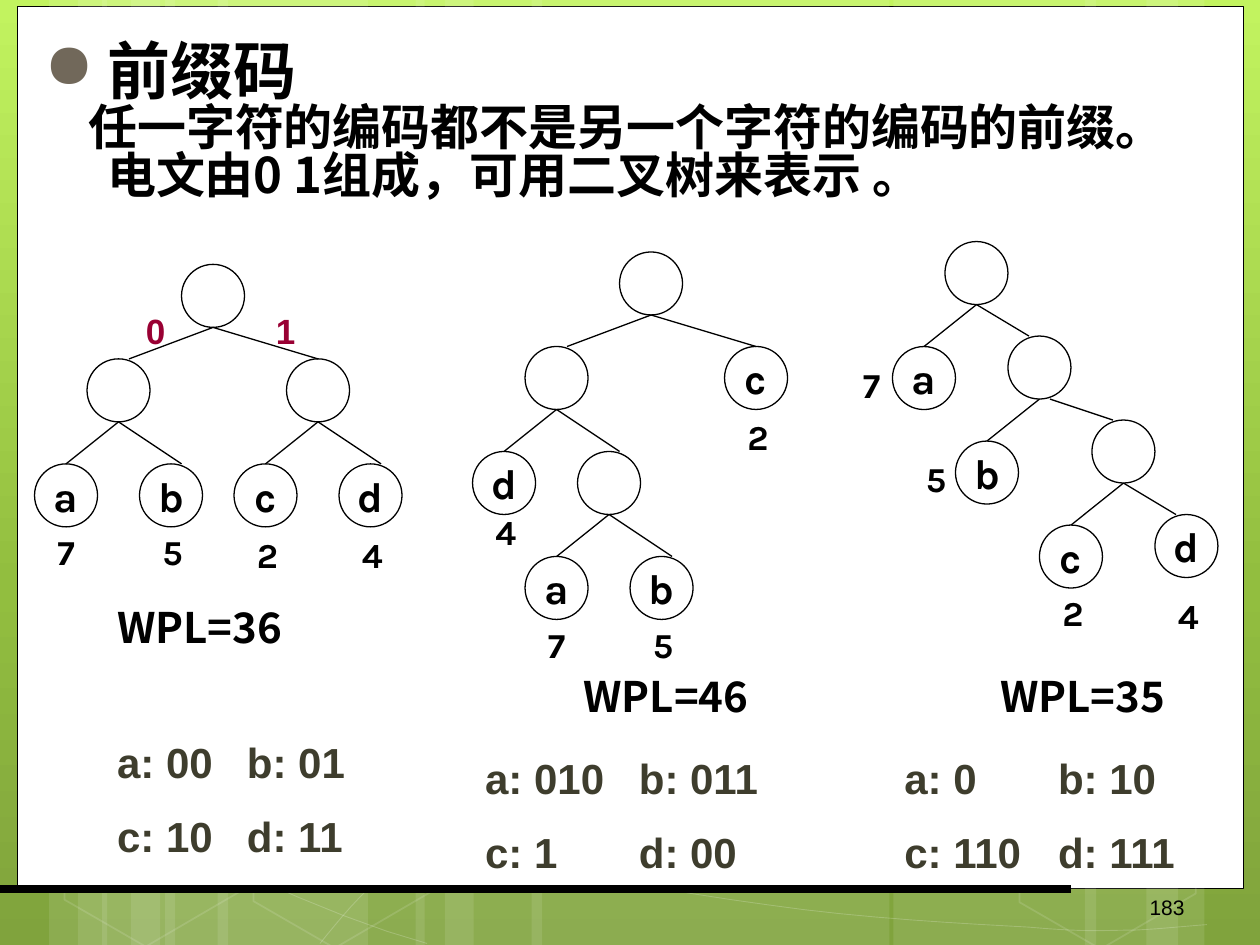
from copy import deepcopy

from lxml import etree
from pptx import Presentation
from pptx.dml.color import RGBColor
from pptx.enum.shapes import MSO_CONNECTOR, MSO_SHAPE
from pptx.enum.text import MSO_ANCHOR, PP_ALIGN
from pptx.oxml.ns import qn
from pptx.util import Cm, Pt

BLACK = RGBColor(0x00, 0x00, 0x00)
WHITE = RGBColor(0xFF, 0xFF, 0xFF)
CRIMSON = RGBColor(0x99, 0x00, 0x33)
OLIVE = RGBColor(0x3E, 0x3D, 0x2D)
SKY_STOPS = [(0, RGBColor(0xC2, 0xF3, 0x5F)), (0.62, RGBColor(0x92, 0xBE, 0x3F)),
             (1, RGBColor(0x80, 0xA3, 0x3D))]
BULLET_COLOR = "71685A"
SANS, CJK, LETTER = "Arial", "Noto Sans CJK SC", "Karla"
RECTANGLE, HEXAGON, ELLIPSE = MSO_SHAPE.RECTANGLE, MSO_SHAPE.HEXAGON, MSO_SHAPE.OVAL
STRAIGHT = MSO_CONNECTOR.STRAIGHT
CENTER, RIGHT = PP_ALIGN.CENTER, PP_ALIGN.RIGHT
MIDDLE, BOTTOM = MSO_ANCHOR.MIDDLE, MSO_ANCHOR.BOTTOM

WIDTH, HEIGHT = 25.4, 19.05
GRID = 2.54 / 12  # tree step in cm
NODE = 6          # node diameter in steps

# Background bands (left, width), hexagons (left, top) and Bezier curves, in cm
BANDS = [(3.33, 4.09), (0.99, 1.17), (1.57, 1.96), (4.39, 4.17), (2.06, 1.17), (2.64, 1.96),
         (18.01, 4.09), (23.11, 1.17), (21.87, 1.88), (10.72, 7.21), (8.38, 1.17), (8.97, 1.96)]
HEXAGONS = [(1.04, 15.01), (4.85, 15.04), (20.29, 15.06)]
CURVES = [
    [(0.91, 15.67), (3.73, 17.07), (6.55, 18.47), (8.61, 19.02)],
    [(0.94, 14.68), (1.68, 14.96), (2.41, 15.24), (3.78, 15.65), (5.13, 16.03), (7.16, 16.66),
     (9.12, 17.09), (11.07, 17.53), (13.54, 17.98), (15.47, 18.24), (17.4, 18.52),
     (19.48, 18.62), (20.73, 18.69), (21.95, 18.8), (22.28, 18.75), (22.89, 18.75),
     (23.47, 18.72), (23.9, 18.67), (24.33, 18.64)],
    [(6.45, 19.02), (6.86, 18.52), (7.26, 18.01), (7.85, 17.55), (8.41, 17.07), (9.19, 16.59),
     (9.86, 16.23), (10.49, 15.88), (10.9, 15.72), (11.76, 15.47), (12.62, 15.21),
     (14.2, 14.86), (15.01, 14.68), (16.5, 14.4), (20, 14.25), (24.31, 14.38)],
]

# Node: x, y, parent index, (edge start, edge end), label, weight, weight offset; in steps
TREES = [
    ((3.66, 5.33), [
        (0, 0, None), (-9, 9, 0, (3, 4)), (10, 9, 0, (3, 3)),
        (-14, 19, 1, (3, 3), "a", "7", (1, 5.75)), (-4, 19, 1, (3, 4), "b", "5", (1, 5.75)),
        (5, 19, 2, (3, 3), "c", "2", (1, 6)), (15, 19, 2, (3, 4), "d", "4", (1, 6))]),
    ((12.49, 5.08), [
        (0, 0, None), (-9, 9, 0, (3, 4)), (10, 9, 0, (3, 3), "c", "2", (1, 6)),
        (-14, 19, 1, (3, 3), "d", "4", (1, 5)), (-4, 19, 1, (3, 4)),
        (-9, 29, 4, (3, 3), "a", "7", (1, 5.75)), (1, 29, 4, (3, 4), "b", "5", (1, 5.75))]),
    ((19.05, 4.87), [
        (0, 0, None), (-5, 10, 0, (3, 3), "a", "7", (-4, 1)), (6, 9, 0, (3, 2)),
        (1, 19, 2, (3, 3), "b", "5", (-4, 1)), (14, 17, 2, (4, 2)),
        (9, 27, 4, (3, 3), "c", "2", (1, 5.75)), (20, 26, 4, (3, 2), "d", "4", (1, 7))]),
]

# Left, top, width and tab of the code table, its rows, then the WPL label and its place
RESULTS = [
    ((2.11, 14.73, 5.79, 2.62), ["a: 00\tb: 01", "c: 10\td: 11"], "WPL=36", (2.11, 12.12)),
    ((9.53, 15.04, 7.01, 3.1), ["a: 010\tb: 011", "c: 1\td: 00"], "WPL=46", (11.51, 13.51)),
    ((17.98, 15.04, 6.71, 3.1), ["a: 0\tb: 10", "c: 110\td: 111"], "WPL=35", (19.91, 13.51)),
]


def set_alpha(shape, percent):
    for color in shape._element.spPr.iter(qn("a:srgbClr")):
        etree.SubElement(color, qn("a:alpha"), val=str(percent * 1000))


def style_paragraph(paragraph, size, font, color=BLACK, bold=True):
    for run in paragraph.runs:
        run.font.size, run.font.bold, run.font.name = Pt(size), bold, font
        run.font.color.rgb = color
        etree.SubElement(run._r.get_or_add_rPr(), qn("a:ea"), typeface=font)


def add_text(slide, box, lines, size, font, color=BLACK, bold=True):
    frame = slide.shapes.add_textbox(*map(Cm, box)).text_frame
    frame.word_wrap = True
    frame.text = "\n".join(lines)
    for paragraph in frame.paragraphs:
        style_paragraph(paragraph, size, font, color, bold)
    return frame


def add_preset(slide, kind, box, fill=None, line=None, width=0.75):
    shape = slide.shapes.add_shape(kind, *map(Cm, box))
    shape.shadow.inherit = False
    if fill is None:
        shape.fill.background()
    else:
        shape.fill.solid()
        shape.fill.fore_color.rgb = fill
    if line is None:
        shape.line.fill.background()
    else:
        shape.line.color.rgb, shape.line.width = line, Pt(width)
    return shape


def add_line(slide, start, end, width=0.75):
    line = slide.shapes.add_connector(STRAIGHT, *map(Cm, (*start, *end)))
    line.line.color.rgb, line.line.width = BLACK, Pt(width)
    etree.SubElement(line._element.spPr, qn("a:effectLst"))


def flatten(curve, steps=8):
    points = [curve[0]]
    for i in range(0, len(curve) - 1, 3):
        for t in (step / steps for step in range(1, steps + 1)):
            weights = ((1 - t) ** 3, 3 * t * (1 - t) ** 2, 3 * t * t * (1 - t), t ** 3)
            points.append(tuple(sum(w * point[axis] for w, point in zip(weights, curve[i:i + 4]))
                                for axis in (0, 1)))
    return [(Cm(x), Cm(y)) for x, y in points]


def add_backdrop(slide):
    # Three-stop gradient, top to bottom
    fill = slide.background.fill
    fill.gradient()
    fill.gradient_angle = 270
    first = next(slide._element.iter(qn("a:gs")))
    first.addnext(deepcopy(first))
    for stop, (position, color) in zip(fill.gradient_stops, SKY_STOPS):
        stop.position, stop.color.rgb = position, color
    # White page, then translucent decoration
    add_preset(slide, RECTANGLE, (0.36, 0.14, 24.71, 17.78), WHITE, BLACK, 0.5)
    for left, width in BANDS:
        set_alpha(add_preset(slide, RECTANGLE, (left, 0, width, HEIGHT), WHITE), 10)
    for curve in CURVES:
        points = flatten(curve)
        builder = slide.shapes.build_freeform(*points[0])
        builder.add_line_segments(points[1:], close=False)
        shape = builder.convert_to_shape()
        shape.shadow.inherit = False
        shape.fill.background()
        shape.line.color.rgb, shape.line.width = WHITE, Pt(0.5)
        set_alpha(shape, 20)
    for left, top in HEXAGONS:
        shape = add_preset(slide, HEXAGON, (left, top, 4.09, 3.86), None, WHITE, 1)
        shape.adjustments[0], shape.rotation = 0.285, 30
        set_alpha(shape, 12)
    add_line(slide, (0, 17.93), (21.59, 17.93), 4.5)


def add_heading(slide, box):
    frame = add_text(slide, box, [
        "前缀码", "任一字符的编码都不是另一个字符的编码的前缀。电文由0 1组成，可用二叉树来表示 。"], 28, CJK)
    frame.margin_top = Cm(0.27)
    for paragraph, indent in zip(frame.paragraphs, (-1.27, -0.38)):
        paragraph.line_spacing = 0.82
        properties = paragraph._p.get_or_add_pPr()
        properties.set("marL", str(Cm(1.27)))
        properties.set("indent", str(Cm(indent)))
    title = frame.paragraphs[0]
    title.runs[0].font.size = Pt(36)
    properties = title._p.get_or_add_pPr()
    color = etree.SubElement(properties, qn("a:buClr"))
    etree.SubElement(color, qn("a:srgbClr"), val=BULLET_COLOR)
    etree.SubElement(properties, qn("a:buChar"), char="●")


def add_tree(slide, root, nodes):
    def place(x, y):
        return root[0] + x * GRID, root[1] + y * GRID

    for x, y, parent, *details in nodes:
        node = add_preset(slide, ELLIPSE, (*place(x, y), NODE * GRID, NODE * GRID), None, BLACK)
        if parent is not None:
            parent_x, parent_y = nodes[parent][:2]
            start, end = details[0]
            add_line(slide, place(parent_x + start, parent_y + NODE), place(x + end, y))
        if len(details) > 1:
            label, weight, (shift_x, shift_y) = details[1:]
            frame = node.text_frame
            frame.margin_left = frame.margin_right = frame.margin_top = frame.margin_bottom = 0
            frame.word_wrap, frame.vertical_anchor = False, MIDDLE
            frame.text = label
            frame.paragraphs[0].alignment = CENTER
            style_paragraph(frame.paragraphs[0], 24, LETTER)
            add_text(slide, (*place(x + shift_x, y + shift_y), 0.85, 1.1), [weight], 20, LETTER)


def add_result(slide, box, codes, label, label_place):
    left, top, width, tab = box
    add_text(slide, (*label_place, 4.45, 1.27), [label], 24, CJK).margin_top = 0
    frame = add_text(slide, (left, top, width, 2.79), codes, 24, SANS, OLIVE)
    frame.paragraphs[1].space_before = Pt(13.5)
    for paragraph in frame.paragraphs:
        tabs = etree.SubElement(paragraph._p.get_or_add_pPr(), qn("a:tabLst"))
        etree.SubElement(tabs, qn("a:tab"), pos=str(Cm(tab)), algn="l")


def main():
    presentation = Presentation()
    presentation.slide_width, presentation.slide_height = Cm(WIDTH), Cm(HEIGHT)
    slide = presentation.slides.add_slide(presentation.slide_layouts[6])
    add_backdrop(slide)
    number = add_text(slide, (18.21, 17.35, 5.92, 1.32), ["183"], 12, SANS, bold=False)
    number.vertical_anchor = BOTTOM
    number.paragraphs[0].alignment = RIGHT
    add_heading(slide, (0.64, 0.64, 23.85, 4.17))
    for root, nodes in TREES:
        add_tree(slide, root, nodes)
    for result in RESULTS:
        add_result(slide, *result)
    # Branch bits of the first tree
    for bit, left in (("0", 2.69), ("1", 5.31)):
        add_text(slide, (left, 6.12, 1.19, 1.1), [bit], 20, SANS, CRIMSON)
    presentation.save("out.pptx")


if __name__ == "__main__":
    main()
